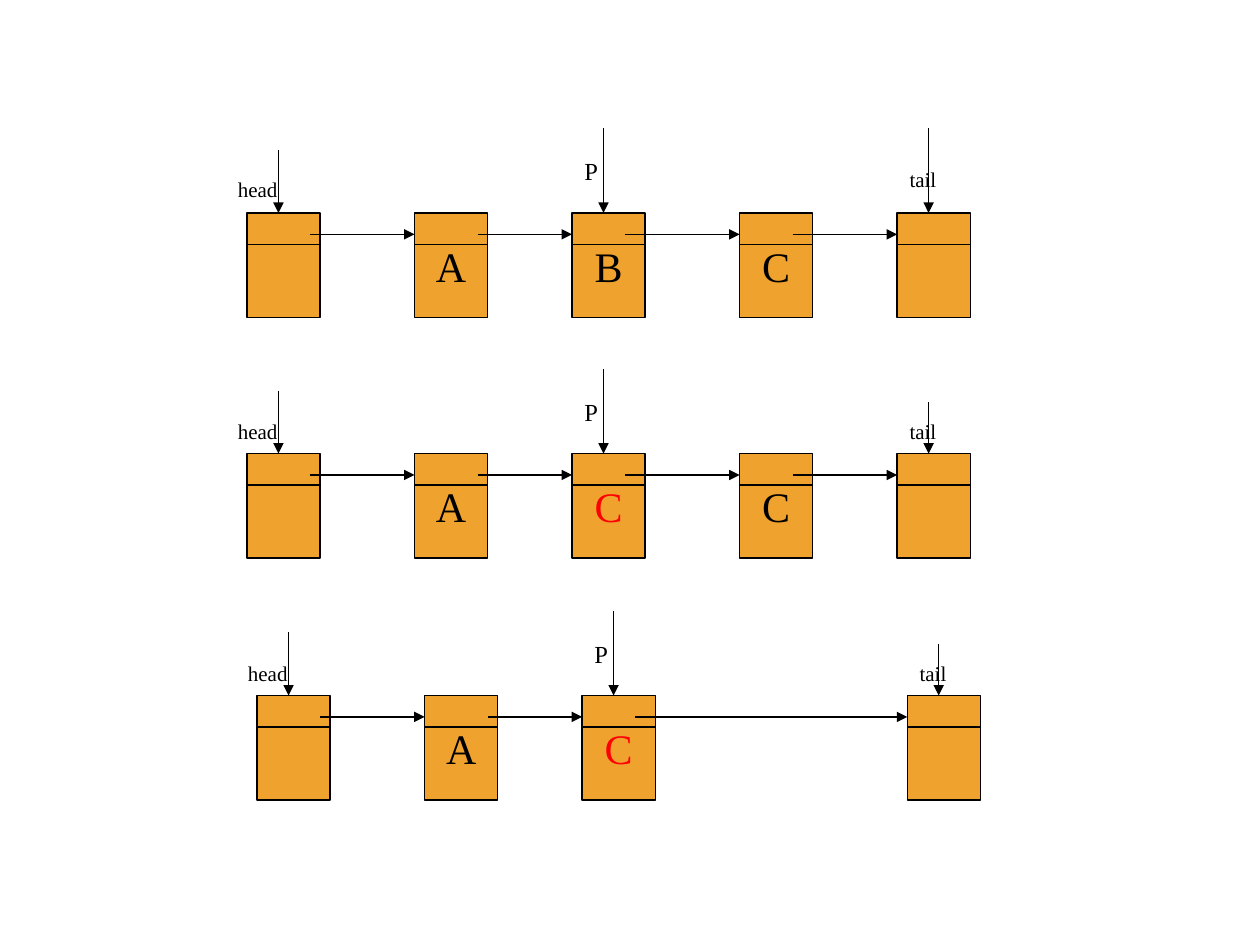
from lxml.etree import SubElement
from pptx import Presentation
from pptx.dml.color import RGBColor
from pptx.enum.shapes import MSO_CONNECTOR, MSO_SHAPE
from pptx.enum.text import MSO_ANCHOR, MSO_AUTO_SIZE, PP_ALIGN
from pptx.oxml.ns import qn
from pptx.util import Inches, Pt

COLORS = {"node": "F0A22E", "ink": "000000", "changed": "FF0000"}
NODE_WIDTH, NODE_HEIGHT = 0.58, 0.83
DIVIDER_DROP, LINK_DROP = 0.25, 0.17
POINTER_INSET = 0.25

# Column: (left edge, distance from there to the start of the outgoing link)
COLUMNS = [(1.96, 0.5), (3.29, 0.5), (4.54, 0.42), (5.87, 0.42), (7.12, 0)]

# Label: text box offset from the node's corner, width, height, font size
LABELS = {
    "head": {"left": -0.17, "width": 0.83, "height": 0.3, "size": 12},
    "tail": {"left": 0, "width": 0.75, "height": 0.3, "size": 12},
    "P": {"left": 0, "width": 0.5, "height": 0.34, "size": 14},
}

# Nodes are (column, letter, letter colour);
# pointers are (label, column, arrow length, label rise above the node)
STAGES = [
    {"shift": 0, "top": 1.69,
     "nodes": [(0, "", "ink"), (1, "A", "ink"), (2, "B", "ink"),
               (3, "C", "ink"), (4, "", "ink")],
     "pointers": [("head", 0, 0.5, 0.34), ("tail", 4, 0.67, 0.42),
                  ("P", 2, 0.67, 0.5)]},
    {"shift": 0, "top": 3.6,
     "nodes": [(0, "", "ink"), (1, "A", "ink"), (2, "C", "changed"),
               (3, "C", "ink"), (4, "", "ink")],
     "pointers": [("head", 0, 0.5, 0.33), ("tail", 4, 0.41, 0.33),
                  ("P", 2, 0.67, 0.5)]},
    {"shift": 0.08, "top": 5.52,
     "nodes": [(0, "", "ink"), (1, "A", "ink"), (2, "C", "changed"),
               (4, "", "ink")],
     "pointers": [("head", 0, 0.5, 0.33), ("tail", 4, 0.41, 0.33),
                  ("P", 2, 0.67, 0.5)]},
]


def color(name):
    return RGBColor.from_string(COLORS[name])


def set_attributes(target, values):
    for name, value in values.items():
        setattr(target, name, value)


def write(frame, text, size, ink, **paragraph_format):
    para = frame.paragraphs[0]
    set_attributes(para, paragraph_format)
    span = para.add_run()
    span.text = text
    set_attributes(span.font, {"name": "Times New Roman", "size": Pt(size)})
    span.font.color.rgb = color(ink)


def add_line(page, start, end, arrow=False):
    line = page.shapes.add_connector(
        MSO_CONNECTOR.STRAIGHT, *(Inches(value) for value in (*start, *end)))
    line.line.color.rgb = color("ink")
    line.line.width = Pt(0.75)
    if arrow:
        SubElement(line.line._get_or_add_ln(), qn("a:tailEnd"), type="triangle")
    SubElement(line._element.spPr, qn("a:effectLst"))


def add_node(page, left, top, letter, ink):
    box = page.shapes.add_shape(
        MSO_SHAPE.RECTANGLE, Inches(left), Inches(top),
        Inches(NODE_WIDTH), Inches(NODE_HEIGHT))
    box.shadow.inherit = False
    box.fill.solid()
    box.fill.fore_color.rgb = color("node")
    box.line.color.rgb = color("ink")
    box.line.width = Pt(0.75)
    if letter:
        set_attributes(box.text_frame, {
            "word_wrap": False, "vertical_anchor": MSO_ANCHOR.MIDDLE})
        write(box.text_frame, letter, 24, ink, alignment=PP_ALIGN.CENTER)


def add_pointer(page, left, top, name, length, rise):
    """Add a downward arrow onto a node, with its label."""
    x = left + POINTER_INSET
    add_line(page, (x, top - length), (x, top), arrow=True)
    label = LABELS[name]
    box = page.shapes.add_textbox(
        Inches(left + label["left"]), Inches(top - rise),
        Inches(label["width"]), Inches(label["height"]))
    set_attributes(box.text_frame, {
        "word_wrap": True, "auto_size": MSO_AUTO_SIZE.SHAPE_TO_FIT_TEXT})
    write(box.text_frame, name, label["size"], "ink",
          space_before=Pt(round(label["size"] * 0.625, 1)))


def add_stage(page, shift, top, nodes, pointers):
    """Add one linked list: nodes, dividers, pointers and links."""
    lefts = {column: COLUMNS[column][0] + shift for column, _, _ in nodes}
    for column, letter, ink in nodes:
        add_node(page, lefts[column], top, letter, ink)
    for left in lefts.values():
        y = top + DIVIDER_DROP
        add_line(page, (left, y), (left + NODE_WIDTH, y))
    for name, column, length, rise in pointers:
        add_pointer(page, lefts[column], top, name, length, rise)
    columns = list(lefts)
    for column, following in zip(columns, columns[1:]):
        y = top + LINK_DROP
        start = lefts[column] + COLUMNS[column][1]
        add_line(page, (start, y), (lefts[following], y), arrow=True)


def main():
    deck = Presentation()
    deck.slide_width, deck.slide_height = Inches(10), Inches(7.5)
    page = deck.slides.add_slide(deck.slide_layouts[6])
    for stage in STAGES:
        add_stage(page, **stage)
    deck.save("out.pptx")


if __name__ == "__main__":
    main()
